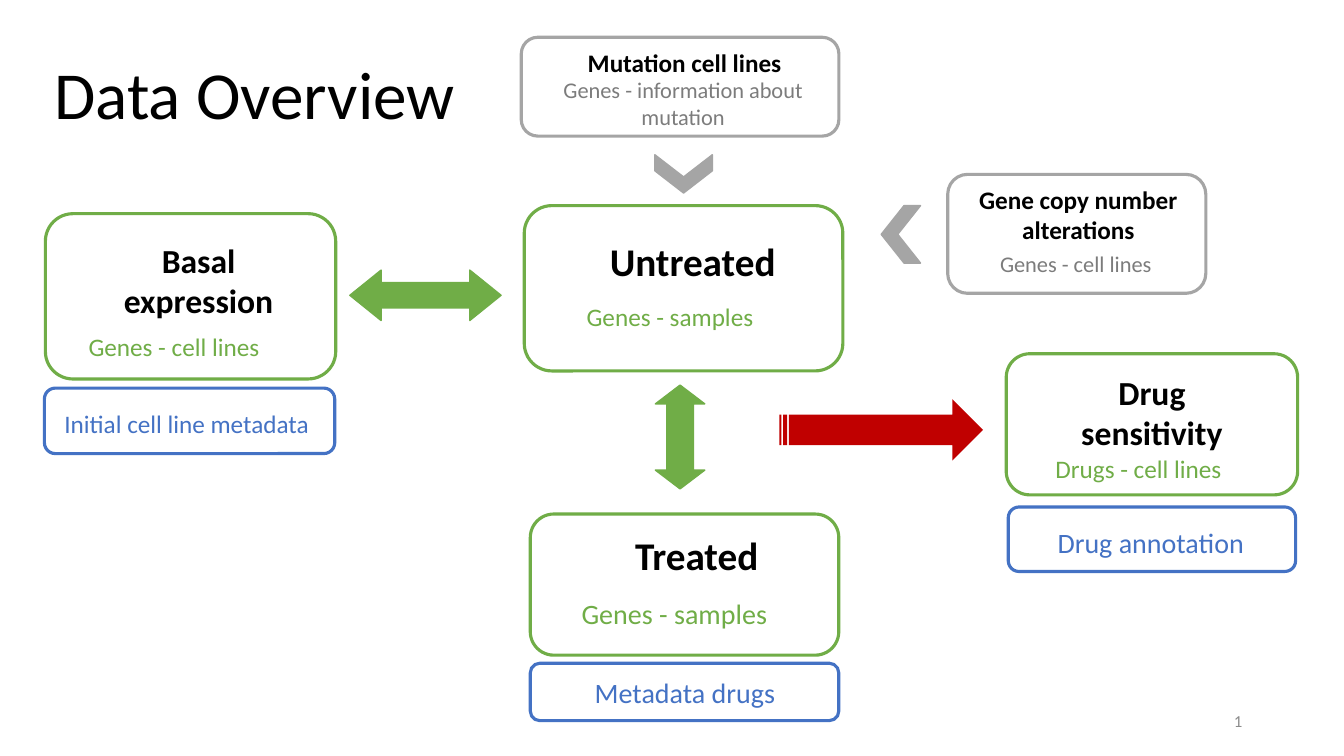
"""Build the Data Overview slide: linked data sets with their metadata."""
from dataclasses import dataclass
from typing import Optional

from pptx import Presentation
from pptx.dml.color import RGBColor
from pptx.enum.shapes import MSO_SHAPE
from pptx.enum.text import MSO_ANCHOR, PP_ALIGN
from pptx.oxml.ns import qn
from pptx.util import Inches, Pt

BLACK = RGBColor(0x00, 0x00, 0x00)
WHITE = RGBColor(0xFF, 0xFF, 0xFF)
GREEN = RGBColor(0x70, 0xAD, 0x47)
BLUE = RGBColor(0x44, 0x72, 0xC4)
RED = RGBColor(0xC0, 0x00, 0x00)
GRAY = RGBColor(0xA5, 0xA5, 0xA5)
DARK_GRAY = RGBColor(0x7C, 0x7C, 0x7C)
NUMBER_GRAY = RGBColor(0x8C, 0x8C, 0x8C)


@dataclass
class Label:
    """Text in its own box."""
    at: tuple[float, float, float, float]
    text: str
    size: int
    color: RGBColor = BLACK
    bold: bool = False
    align: PP_ALIGN = PP_ALIGN.LEFT
    wrap: bool = True
    anchor: MSO_ANCHOR = MSO_ANCHOR.TOP


@dataclass
class Card:
    """Rounded frame with the labels that stand in it."""
    at: tuple[float, float, float, float]
    color: RGBColor
    labels: list[Label]
    fill: Optional[RGBColor] = WHITE


@dataclass
class Arrow:
    """Block arrow or chevron between cards."""
    kind: MSO_SHAPE
    at: tuple[float, float, float, float]
    color: RGBColor
    adjustments: tuple[float, ...] = ()
    rotation: int = 0
    outlined: bool = True


CENTER = PP_ALIGN.CENTER
CARDS = [
    Card((5.17, 0.37, 3.15, 0.98), GRAY, [
        Label((5.25, 0.42, 3.08, 0.36), "Mutation cell lines", 18, bold=True, align=CENTER),
        Label((5.25, 0.71, 3.05, 0.91), "Genes - information about mutation", 16, DARK_GRAY,
              align=CENTER)]),
    Card((9.4, 1.73, 2.56, 1.18), GRAY, [
        Label((9.47, 1.78, 2.45, 0.71), "Gene copy number alterations", 18, bold=True,
              align=CENTER),
        Label((9.7, 2.43, 1.94, 0.64), "Genes - cell lines", 16, DARK_GRAY, align=CENTER)],
        fill=None),
    Card((0.44, 3.85, 2.88, 0.65), BLUE, [
        Label((0.54, 4, 2.71, 0.4), "Initial cell line metadata", 18, BLUE)]),
    Card((0.45, 2.12, 2.88, 1.64), GREEN, [
        Label((0.86, 2.33, 2.22, 0.91), "Basal expression", 24, bold=True, align=CENTER),
        Label((0.78, 3.24, 3.04, 0.71), "Genes - cell lines", 18, GREEN)]),
    Card((10, 5.03, 2.85, 0.64), BLUE, [
        Label((10.39, 5.16, 2.15, 0.44), "Drug annotation", 20, BLUE)]),
    Card((9.98, 3.51, 2.89, 1.4), GREEN, [
        Label((10.39, 3.64, 2.07, 0.91), "Drug sensitivity", 24, bold=True, align=CENTER),
        Label((10.37, 4.45, 2.86, 0.71), "Drugs - cell lines", 18, GREEN)], fill=None),
    Card((5.2, 2.04, 3.16, 1.64), GREEN, [
        Label((5.95, 2.31, 2.04, 0.57), "Untreated", 28, bold=True),
        Label((5.72, 2.94, 1.87, 0.4), "Genes - samples", 18, GREEN, wrap=False)], fill=None),
    Card((5.26, 6.58, 3.06, 0.57), BLUE, [
        Label((5.8, 6.65, 2.59, 0.44), "Metadata drugs", 20, BLUE)]),
    Card((5.26, 5.1, 3.06, 1.4), GREEN, [
        Label((6.2, 5.22, 1.67, 0.54), "Treated", 28, bold=True),
        Label((5.67, 5.87, 2.43, 0.77), "Genes - samples", 20, GREEN)], fill=None),
]
ARROWS = [
    Arrow(MSO_SHAPE.STRIPED_RIGHT_ARROW, (7.73, 3.96, 2.02, 0.61), RED, outlined=False),
    Arrow(MSO_SHAPE.LEFT_RIGHT_ARROW, (3.47, 2.68, 1.5, 0.5), GREEN, (0.5, 0.62)),
    Arrow(MSO_SHAPE.LEFT_RIGHT_ARROW, (6.23, 4.09, 1.03, 0.49), GREEN, (0.54, 0.38), 270),
    Arrow(MSO_SHAPE.CHEVRON, (8.74, 2.04, 0.39, 0.57), GRAY, (0.58,), 180),
    Arrow(MSO_SHAPE.CHEVRON, (6.59, 1.44, 0.38, 0.57), GRAY, (0.58,), 90),
]
TITLE = Label((0.44, 0.47, 4.24, 0.91), "Data Overview", 48)
NUMBER = Label((9.42, 6.95, 3, 0.4), "2", 12, NUMBER_GRAY, align=PP_ALIGN.RIGHT,
               anchor=MSO_ANCHOR.MIDDLE)


def add_label(s, label: Label):
    """Draw a text box and return its run."""
    tf = s.shapes.add_textbox(*map(Inches, label.at)).text_frame
    tf.word_wrap = label.wrap
    tf.vertical_anchor = label.anchor
    p = tf.paragraphs[0]
    p.alignment = label.align
    r = p.add_run()
    r.text = label.text
    font_format = {"name": "Calibri", "size": Pt(label.size), "bold": label.bold}
    for name, value in font_format.items():
        setattr(r.font, name, value)
    r.font.color.rgb = label.color
    return r


def add_outlined(s, kind: MSO_SHAPE, at: tuple[float, float, float, float],
                 fill: Optional[RGBColor], line: Optional[RGBColor], width: float):
    """Draw a preset shape without a shadow."""
    sp = s.shapes.add_shape(kind, *map(Inches, at))
    sp.shadow.inherit = False
    for part, color in ((sp.fill, fill), (sp.line.fill, line)):
        if color is None:
            part.background()
        else:
            part.solid()
            part.fore_color.rgb = color
    if line is not None:
        sp.line.width = Pt(width)
    return sp


def add_card(s, card: Card) -> None:
    """Draw a frame and its labels."""
    add_outlined(s, MSO_SHAPE.ROUNDED_RECTANGLE, card.at, card.fill, card.color, 2.25)
    for label in card.labels:
        add_label(s, label)


def add_arrow(s, arrow: Arrow) -> None:
    """Draw a block arrow."""
    line = arrow.color if arrow.outlined else None
    sp = add_outlined(s, arrow.kind, arrow.at, arrow.color, line, 1)
    sp.rotation = arrow.rotation
    for i, value in enumerate(arrow.adjustments):
        sp.adjustments[i] = value


def add_slide_number(s, label: Label) -> None:
    """Draw the slide number as a live field."""
    field = add_label(s, label)._r
    field.tag = qn("a:fld")
    field.set("id", "{B6F15528-21DE-4FAA-801E-634DDDAF4B2B}")
    field.set("type", "slidenum")


def main() -> None:
    """Build and save the slide."""
    prs = Presentation()
    prs.slide_width, prs.slide_height = Inches(13.33), Inches(7.5)
    s = prs.slides.add_slide(prs.slide_layouts[6])
    add_label(s, TITLE)
    for card in CARDS:
        add_card(s, card)
    for arrow in ARROWS:
        add_arrow(s, arrow)
    add_slide_number(s, NUMBER)
    prs.save("out.pptx")


if __name__ == "__main__":
    main()
